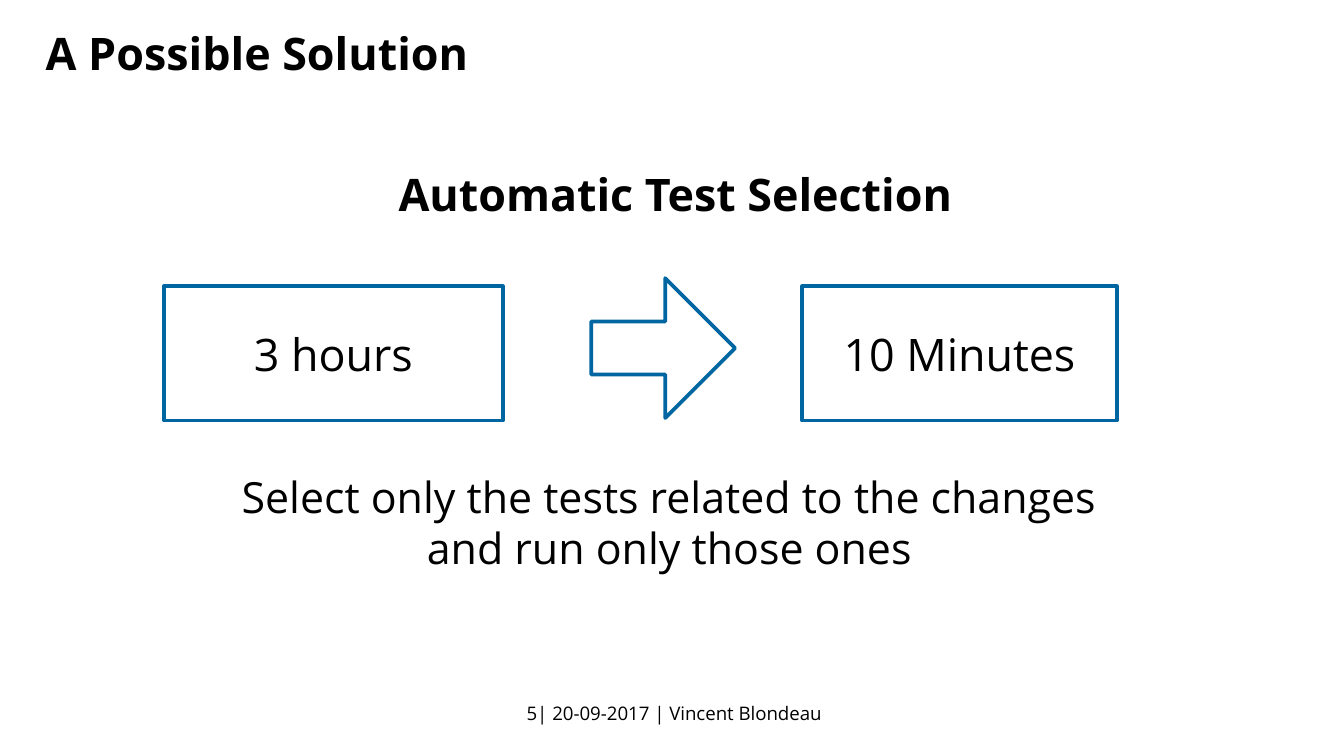
from pptx import Presentation
from pptx.dml.color import RGBColor
from pptx.enum.shapes import MSO_SHAPE
from pptx.enum.text import MSO_ANCHOR, PP_ALIGN
from pptx.util import Inches, Pt


def color(value):
    return RGBColor.from_string(value)


def write(para, text, size, bold=False, align=PP_ALIGN.CENTER):
    para.text = text
    para.alignment = align
    para.font.name = "Open Sans"
    para.font.size = Pt(size)
    para.font.bold = bold
    para.font.color.rgb = color("000000")


deck = Presentation()
deck.slide_width = Inches(10)
deck.slide_height = deck.slide_width * 9 // 16
page = deck.slides.add_slide(deck.slide_layouts[5])

title = page.shapes.title
title.left, title.top = Inches(0.24), Inches(0.14)
title.width, title.height = Inches(9.57), Inches(0.79)
title.text_frame.vertical_anchor = MSO_ANCHOR.TOP
write(title.text_frame.paragraphs[0], "A Possible Solution", 24, True, PP_ALIGN.LEFT)

body = page.shapes.add_textbox(Inches(0.24), Inches(1.19), Inches(9.57), Inches(3.8))
body.text_frame.word_wrap = True
write(body.text_frame.paragraphs[0], "Automatic Test Selection", 24, True)
explanation = body.text_frame.add_paragraph()
write(explanation, "Select only the tests related to the changes \vand run only those ones ", 23)
explanation.space_before = Pt(134)

for kind, left, top, width, height, text in [
    (MSO_SHAPE.RIGHT_ARROW, 4.4, 2.07, 1.07, 1.04, ""),
    (MSO_SHAPE.RECTANGLE, 1.22, 2.13, 2.52, 1, "3 hours"),
    (MSO_SHAPE.RECTANGLE, 5.97, 2.13, 2.34, 1, "10 Minutes"),
]:
    shape = page.shapes.add_shape(kind, Inches(left), Inches(top), Inches(width), Inches(height))
    shape.shadow.inherit = False
    shape.fill.solid()
    shape.fill.fore_color.rgb = color("FFFFFF")
    shape.line.color.rgb = color("0066A1")
    shape.line.width = Pt(2)
    if kind == MSO_SHAPE.RIGHT_ARROW:
        shape.adjustments[0] = 0.38
    if text:
        shape.text_frame.vertical_anchor = MSO_ANCHOR.MIDDLE
        write(shape.text_frame.paragraphs[0], text, 24)

footer = page.shapes.add_textbox(Inches(3.54), Inches(5.17), Inches(2.95), Inches(0.27))
footer.text_frame.word_wrap = False
write(footer.text_frame.paragraphs[0], "5| 20-09-2017 | Vincent Blondeau", 10)

deck.save("out.pptx")
